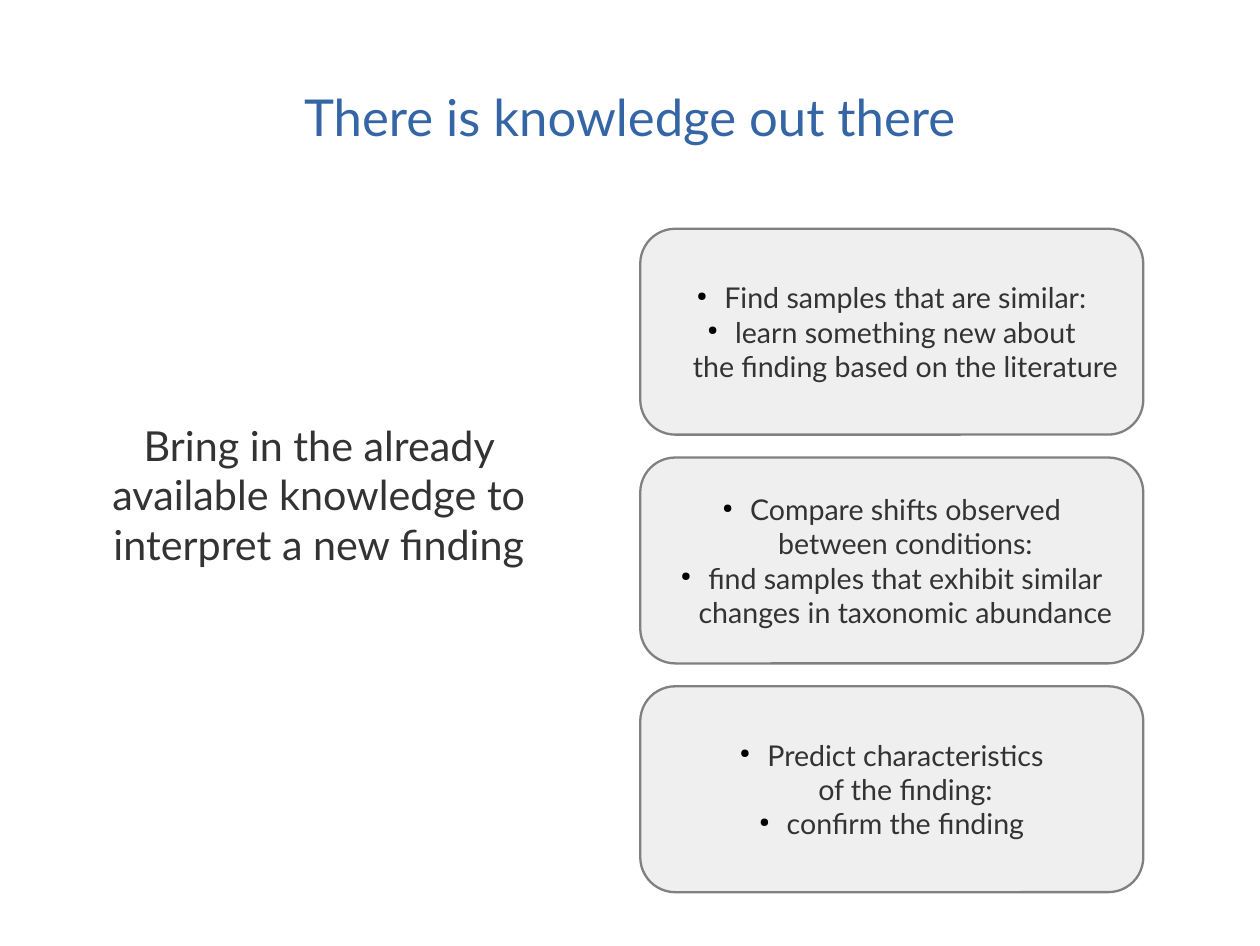
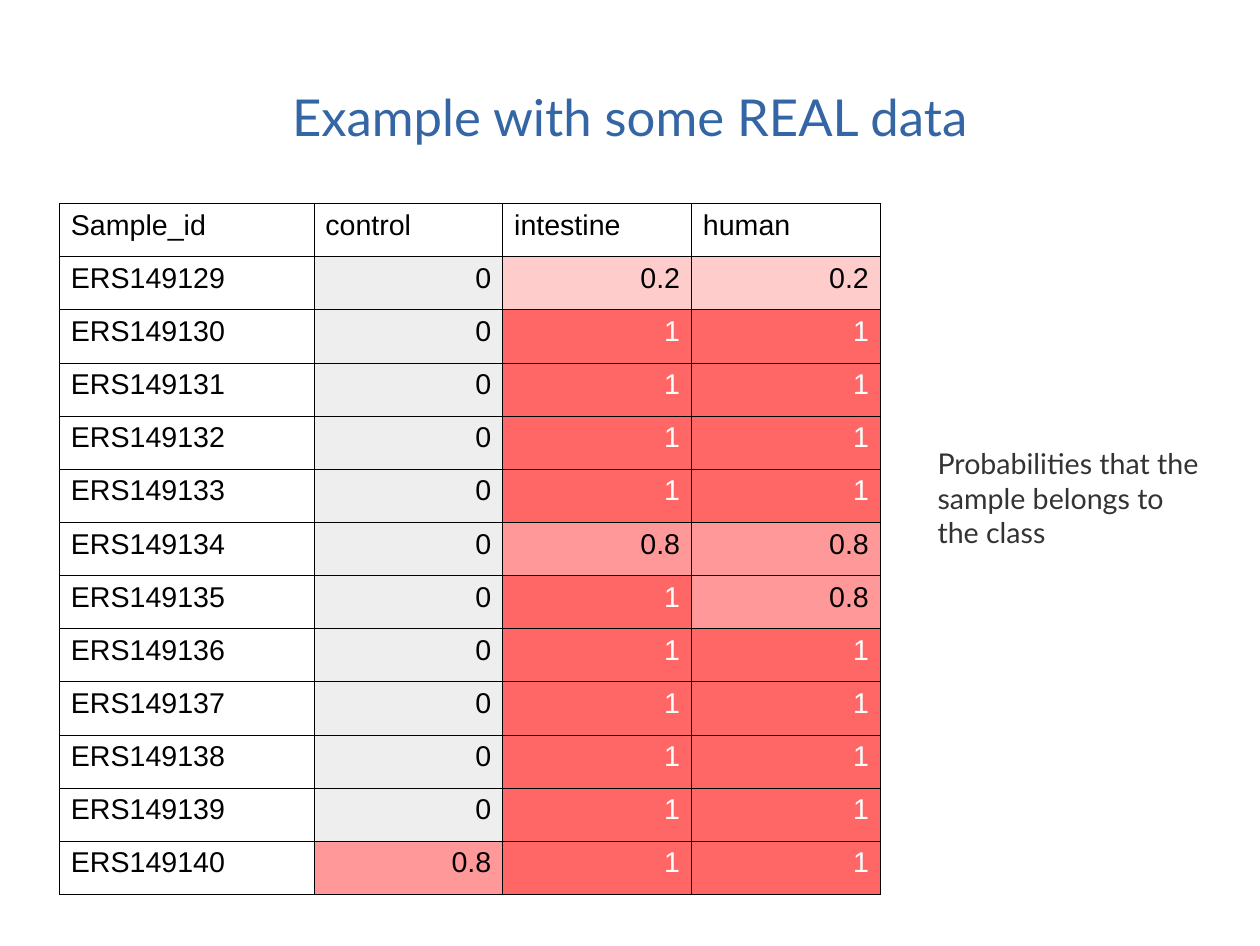
from dataclasses import dataclass

from lxml import etree
from pptx import Presentation
from pptx import util as u
from pptx.dml.color import RGBColor
from pptx.enum import shapes, text
from pptx.oxml import ns


@dataclass(frozen=True)
class Theme:
    unit: float = 0.2
    width: float = 55.1
    height: float = 41.35
    heading_font: str = "Lato"
    table_font: str = "Arial"
    title_size: int = 32
    lead_size: int = 26
    text_size: int = 18
    title: str = "3465A4"
    ink: str = "333333"
    black: str = "000000"
    white: str = "FFFFFF"
    panel: str = "EEEEEE"
    outline: str = "808080"


@dataclass(frozen=True)
class Box:
    x: float
    y: float
    w: float
    h: float

    def emu(self):
        return [grid(v) for v in (self.x, self.y, self.w, self.h)]

    def rows(self, count, gap):
        h = (self.h - gap * (count - 1)) / count
        return [Box(self.x, self.y + i * (h + gap), self.w, h) for i in range(count)]


T = Theme()
TITLE_BOX = Box(2.75, 1.65, 49.6, 6.9)
HEAT = {"0": (T.panel, T.black), "0.2": ("FFCCCC", T.black),
        "0.8": ("FF9999", T.black), "1": ("FF6666", T.white)}

CARDS = [
    ["Find samples that are similar:",
     "learn something new about\nthe finding based on the literature"],
    ["Compare shifts observed\nbetween conditions:",
     "find samples that exhibit similar\nchanges in taxonomic abundance"],
    ["Predict characteristics\nof the finding:", "confirm the finding"],
]
HEADER = ["Sample_id", "control", "intestine", "human"]
FIRST_SAMPLE = 149129
USUAL = ("0", "1", "1")
UNUSUAL = {149129: ("0", "0.2", "0.2"), 149134: ("0", "0.8", "0.8"),
           149135: ("0", "1", "0.8"), 149140: ("0.8", "1", "1")}
SAMPLES = [(f"ERS{n}", *UNUSUAL.get(n, USUAL))
           for n in range(FIRST_SAMPLE, FIRST_SAMPLE + 12)]


def grid(cells):
    return u.Inches(cells * T.unit)


def rgb(value):
    return RGBColor.from_string(value)


def add_xml(parent, tag, **attrs):
    return etree.SubElement(parent, ns.qn(tag), attrs)


def style(p, size, color, align, font=T.heading_font):
    p.alignment = align
    p.font.name = font
    p.font.size = u.Pt(size)
    p.font.color.rgb = rgb(color)


def fill_placeholder(sp, box, words, size, color, align, anchor):
    sp.left, sp.top, sp.width, sp.height = box.emu()
    tf = sp.text_frame
    tf.margin_left = tf.margin_right = tf.margin_top = tf.margin_bottom = 0
    tf.auto_size = text.MSO_AUTO_SIZE.NONE
    tf.word_wrap = True
    tf.vertical_anchor = anchor
    tf.text = words
    p = tf.paragraphs[0]
    p.space_before = u.Pt(0)
    pPr = p._p.get_or_add_pPr()
    pPr.set("marL", "0")
    pPr.set("indent", "0")
    add_xml(pPr, "a:buNone")
    style(p, size, color, align)


def add_slide(prs, title, body, body_box, size, align, anchor):
    s = prs.slides.add_slide(prs.slide_layouts[1])
    fill_placeholder(s.shapes.title, TITLE_BOX, title, T.title_size, T.title,
                     text.PP_ALIGN.CENTER, text.MSO_ANCHOR.MIDDLE)
    fill_placeholder(s.placeholders[1], body_box, body, size, T.ink, align, anchor)
    return s


def add_bullet(p):
    indent = u.Inches(0.24)
    pPr = p._p.get_or_add_pPr()
    pPr.set("marL", str(indent))
    pPr.set("indent", str(-indent))
    add_xml(add_xml(pPr, "a:buClr"), "a:srgbClr", val=T.black)
    add_xml(pPr, "a:buSzPct", val="45000")
    add_xml(pPr, "a:buChar", char="●")


def add_card(s, box, lines):
    sp = s.shapes.add_shape(shapes.MSO_SHAPE.ROUNDED_RECTANGLE, *box.emu())
    sp.adjustments[0] = 0.17
    sp.shadow.inherit = False
    sp.fill.solid()
    sp.fill.fore_color.rgb = rgb(T.panel)
    color = sp._element.spPr.find(ns.qn("a:solidFill")).find(ns.qn("a:srgbClr"))
    add_xml(color, "a:alpha", val="90000")
    sp.line.color.rgb = rgb(T.outline)
    sp.line.width = u.Pt(1.45)
    tf = sp.text_frame
    tf.word_wrap = False
    tf.vertical_anchor = text.MSO_ANCHOR.MIDDLE
    tf.margin_left = tf.margin_right = u.Inches(0.11)
    tf.margin_top = tf.margin_bottom = u.Inches(0.06)
    for i, line in enumerate(lines):
        p = tf.add_paragraph() if i else tf.paragraphs[0]
        p.text = line
        add_bullet(p)
        style(p, T.text_size, T.ink, text.PP_ALIGN.CENTER)


def add_borders(cell):
    tcPr = cell._tc.get_or_add_tcPr()
    for side in "LRTB":
        ln = add_xml(tcPr, f"a:ln{side}", w=str(u.Pt(0.57)))
        add_xml(add_xml(ln, "a:solidFill"), "a:srgbClr", val=T.black)


def fill_cell(cell, value):
    add_borders(cell)
    cell.text = value
    align, color = text.PP_ALIGN.LEFT, T.black
    if value in HEAT:
        align = text.PP_ALIGN.RIGHT
        back, color = HEAT[value]
        cell.fill.solid()
        cell.fill.fore_color.rgb = rgb(back)
    else:
        cell.fill.background()
    style(cell.text_frame.paragraphs[0], T.text_size, color, align, T.table_font)


def add_heat_table(s, box, rows, shares):
    table = s.shapes.add_table(len(rows), len(shares), *box.emu()).table
    table.first_row = table.horz_banding = False
    for column, share in zip(table.columns, shares):
        column.width = grid(box.w * share)
    for r, values in enumerate(rows):
        table.rows[r].height = grid(box.h / len(rows))
        for c, value in enumerate(values):
            fill_cell(table.cell(r, c), value)


def knowledge_slide(prs):
    s = add_slide(prs, "There is knowledge out there",
                  "Bring in the already available knowledge to interpret a new finding",
                  Box(4.7, 9.85, 18.5, 23.5), T.lead_size,
                  text.PP_ALIGN.CENTER, text.MSO_ANCHOR.MIDDLE)
    for box, lines in zip(Box(28, 10, 22, 29).rows(len(CARDS), 1), CARDS):
        add_card(s, box, lines)


def data_slide(prs):
    s = add_slide(prs, "Example with some REAL data",
                  "Probabilities that the sample belongs to the class",
                  Box(41, 19.5, 12, 6.5), T.text_size,
                  text.PP_ALIGN.LEFT, text.MSO_ANCHOR.TOP)
    add_heat_table(s, Box(2.6, 8.9, 35.9, 30.2), [HEADER, *SAMPLES],
                   (0.31, 0.23, 0.23, 0.23))


def main():
    prs = Presentation()
    prs.slide_width, prs.slide_height = grid(T.width), grid(T.height)
    knowledge_slide(prs)
    data_slide(prs)
    prs.save("out.pptx")


if __name__ == "__main__":
    main()
